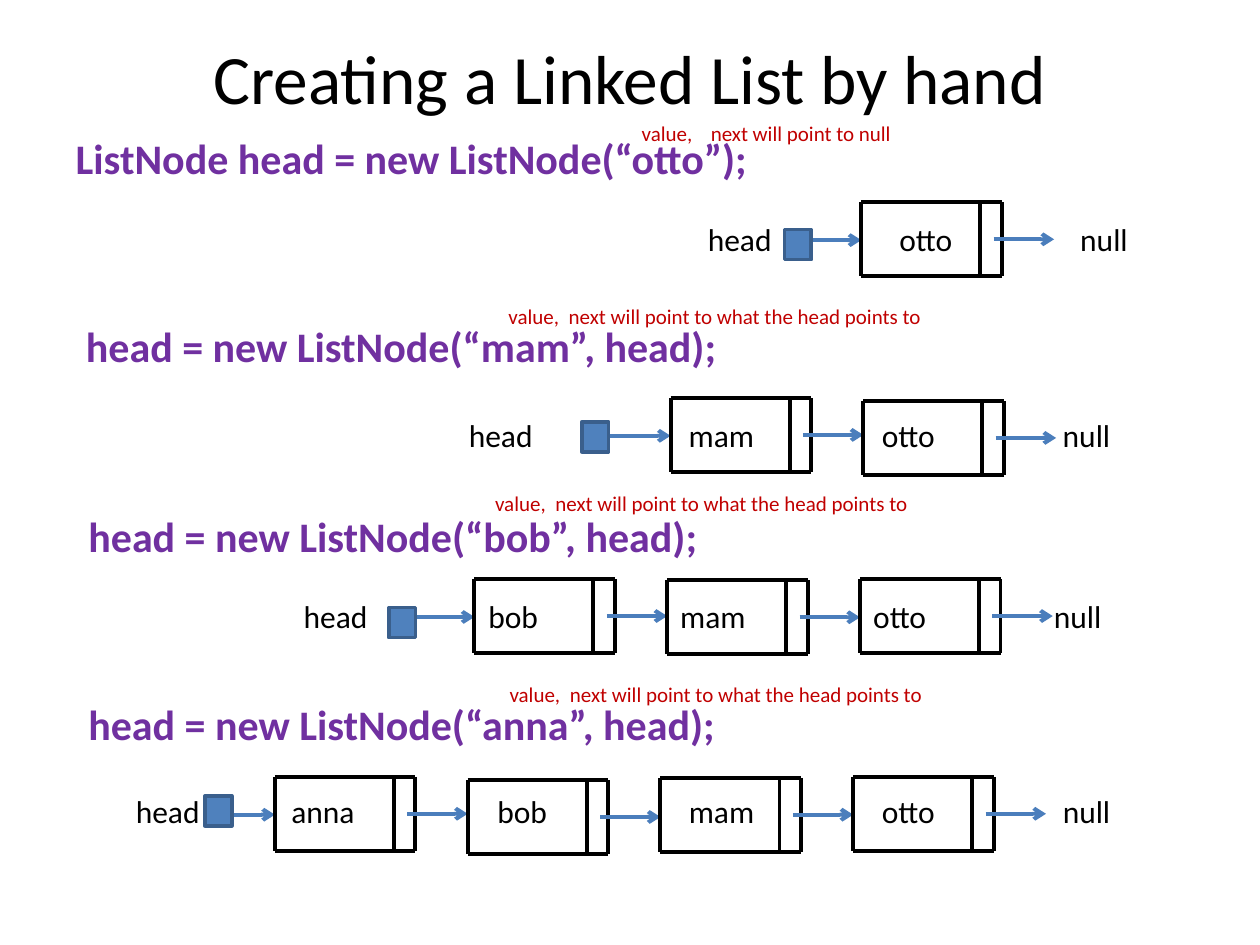
from dataclasses import dataclass

from pptx import Presentation
from pptx.dml.color import RGBColor
from pptx.enum.shapes import MSO_CONNECTOR, MSO_SHAPE
from pptx.enum.text import MSO_ANCHOR, PP_ALIGN
from pptx.oxml.ns import qn
from pptx.util import Pt
from lxml.etree import SubElement


@dataclass(frozen=True)
class Theme:
    font: str = "Calibri"
    ink: RGBColor = RGBColor(0x00, 0x00, 0x00)
    code: RGBColor = RGBColor(0x70, 0x30, 0xA0)
    note: RGBColor = RGBColor(0xC0, 0x00, 0x00)
    arrow: RGBColor = RGBColor(0x4B, 0x7E, 0xBC)
    head_fill: RGBColor = RGBColor(0x4F, 0x81, 0xBD)
    head_line: RGBColor = RGBColor(0x3A, 0x5F, 0x8C)
    title_size: float = 39.6
    code_size: float = 24
    label_size: float = 18
    note_size: float = 12
    line_width: float = 2.25


@dataclass(frozen=True)
class Step:
    """One statement and its diagram; boxes are (left, top, width, height)."""
    code: str
    code_box: tuple
    note: str
    note_box: tuple
    note_tab: float
    labels: str
    label_box: tuple
    label_stops: tuple  # text starts, measured from the slide's left edge
    chain_left: float
    node_tops: tuple
    head_corner: tuple


THEME = Theme()
NODE_WIDTH, NODE_HEIGHT, NODE_PITCH = 80.3, 42.1, 110.16
VALUE_WIDTH = 68
ARROW_LENGTH = 34.5
HEAD_WIDTH, HEAD_HEIGHT = 15.3, 17.2
TEXT_INSET = 7.2
NULL_NOTE = "value,\tnext will point to null"
HEAD_NOTE = "value,\tnext will point to what the head points to"

STEPS = [
    Step("ListNode head = new ListNode(“otto”);", (36.2, 72, 606, 48),
         NULL_NOTE, (359.6, 65.5, 160.6, 21.6), 39.5,
         "\thead\totto\tnull", (332.6, 122.4, 351.4, 29),
         (404.6, 514, 617.4), 492.2, (115.7,), (448.3, 131.2)),
    Step("head = new ListNode(“mam”, head);", (42, 179.8, 630, 36),
         HEAD_NOTE, (283.4, 170, 274.3, 21.6), 34.5,
         "\thead\tmam\totto\tnull", (256.3, 234, 399, 29),
         (268, 393.7, 504, 607.4), 383.2, (227.5, 229.2), (332.5, 241)),
    Step("head = new ListNode(“bob”, head);", (43.4, 288, 528, 36),
         HEAD_NOTE, (275.8, 277, 274.3, 21.6), 34.5,
         "\thead\tbob\tmam\totto\tnull", (138.2, 337.7, 534.2, 29),
         (173.7, 279.2, 388.8, 499.1, 602.3), 271.1, (331, 331.7, 331),
         (222.2, 347.2)),
    Step("head = new ListNode(“anna”, head);", (43.4, 395.8, 376.6, 36),
         HEAD_NOTE, (284.1, 385.9, 274.3, 21.6), 34.5,
         "head\tanna\tbob\tmam\totto\tnull", (70.5, 449.3, 602, 29),
         (166.6, 284.3, 393.7, 504, 607.4), 157.1, (444, 445.8, 444.5, 444),
         (117.2, 454.8)),
]


def add_text(page, text, box, size, color, bold=False, tabs=(),
             align=PP_ALIGN.LEFT, anchor=MSO_ANCHOR.TOP):
    """Add a one-paragraph text box; tabs are measured from its text edge."""
    frame = page.shapes.add_textbox(*map(Pt, box)).text_frame
    frame.word_wrap = True
    frame.vertical_anchor = anchor
    frame.text = text
    para = frame.paragraphs[0]
    para.alignment = align
    if tabs:
        tab_list = SubElement(para._p.get_or_add_pPr(), qn("a:tabLst"))
        for position in tabs:
            SubElement(tab_list, qn("a:tab"), pos=str(int(Pt(position))), algn="l")
    for span in para.runs:
        span.font.name = THEME.font
        span.font.size = Pt(size)
        span.font.bold = bold
        span.font.color.rgb = color


def add_line(page, start, end, color):
    line = page.shapes.add_connector(
        MSO_CONNECTOR.STRAIGHT, *map(Pt, (*start, *end)))
    line.line.color.rgb = color
    line.line.width = Pt(THEME.line_width)
    SubElement(line._element.spPr, qn("a:effectLst"))
    return line


def add_arrow(page, tip_x, y):
    """Add an arrow that points right and ends at tip_x."""
    arrow = add_line(page, (tip_x - ARROW_LENGTH, y), (tip_x, y), THEME.arrow)
    SubElement(arrow.line._get_or_add_ln(), qn("a:tailEnd"), type="arrow")


def add_node(page, left, top):
    """Add the outline of a list node, with a value cell and a pointer cell."""
    right, bottom = left + NODE_WIDTH, top + NODE_HEIGHT
    for y in (top, bottom):
        add_line(page, (left, y), (right, y), THEME.ink)
    for x in (left, left + VALUE_WIDTH, right):
        add_line(page, (x, top), (x, bottom), THEME.ink)


def add_head(page, corner):
    square = page.shapes.add_shape(
        MSO_SHAPE.RECTANGLE, *map(Pt, (*corner, HEAD_WIDTH, HEAD_HEIGHT)))
    square.shadow.inherit = False
    square.fill.solid()
    square.fill.fore_color.rgb = THEME.head_fill
    square.line.color.rgb = THEME.head_line
    square.line.width = Pt(2)


def add_chain(page, step):
    """Add the nodes, the arrows between them and the head pointer."""
    half = NODE_HEIGHT / 2
    add_arrow(page, step.chain_left, step.node_tops[0] + half + 0.5)
    for index, top in enumerate(step.node_tops):
        left = step.chain_left + index * NODE_PITCH
        add_node(page, left, top)
        add_arrow(page, left + NODE_PITCH, top + half)
    add_head(page, step.head_corner)


def add_step(page, step):
    add_text(page, step.code, step.code_box, THEME.code_size, THEME.code, bold=True)
    add_chain(page, step)
    text_edge = step.label_box[0] + TEXT_INSET
    add_text(page, step.labels, step.label_box, THEME.label_size, THEME.ink,
             tabs=[stop - text_edge for stop in step.label_stops])
    add_text(page, step.note, step.note_box, THEME.note_size, THEME.note,
             tabs=[step.note_tab])


def main():
    deck = Presentation()
    deck.slide_width, deck.slide_height = Pt(720), Pt(540)
    page = deck.slides.add_slide(deck.slide_layouts[6])
    add_text(page, "Creating a Linked List by hand", (36, 21.6, 648, 44.6),
             THEME.title_size, THEME.ink,
             align=PP_ALIGN.CENTER, anchor=MSO_ANCHOR.MIDDLE)
    for step in STEPS:
        add_step(page, step)
    deck.save("out.pptx")


if __name__ == "__main__":
    main()
